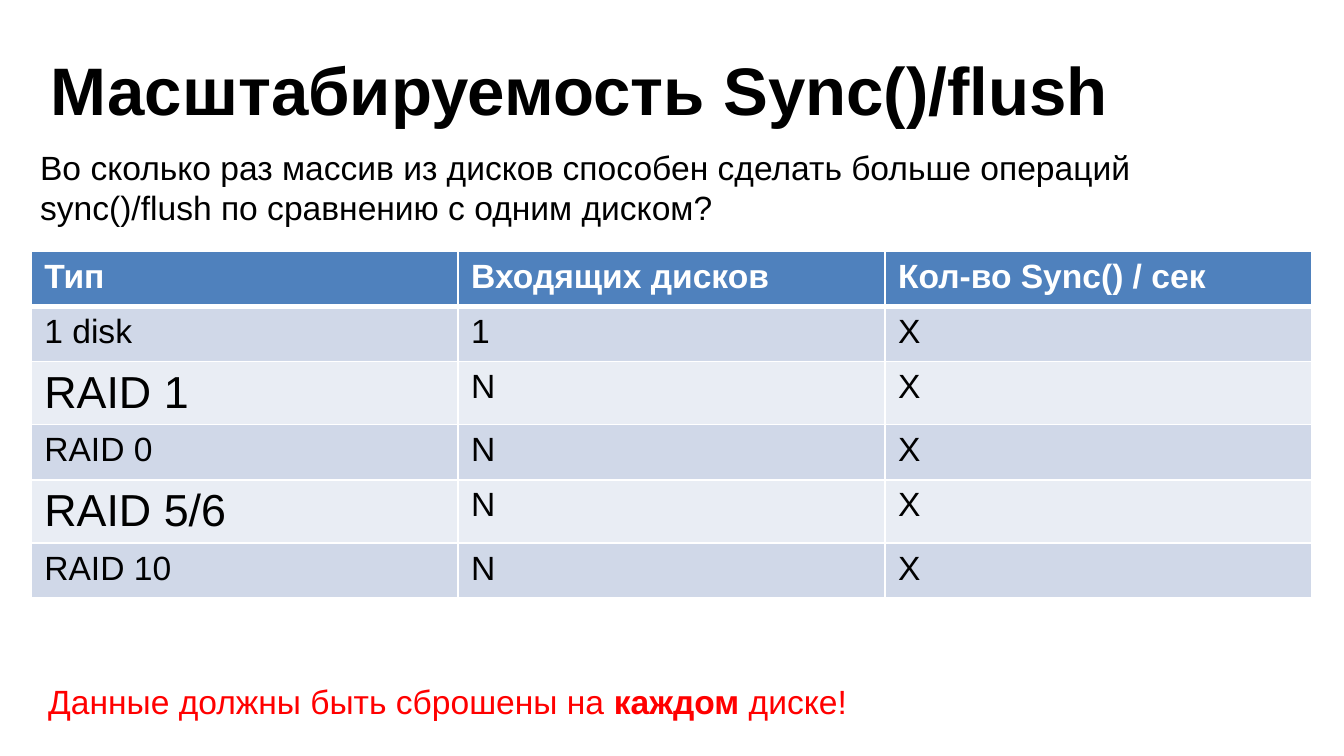
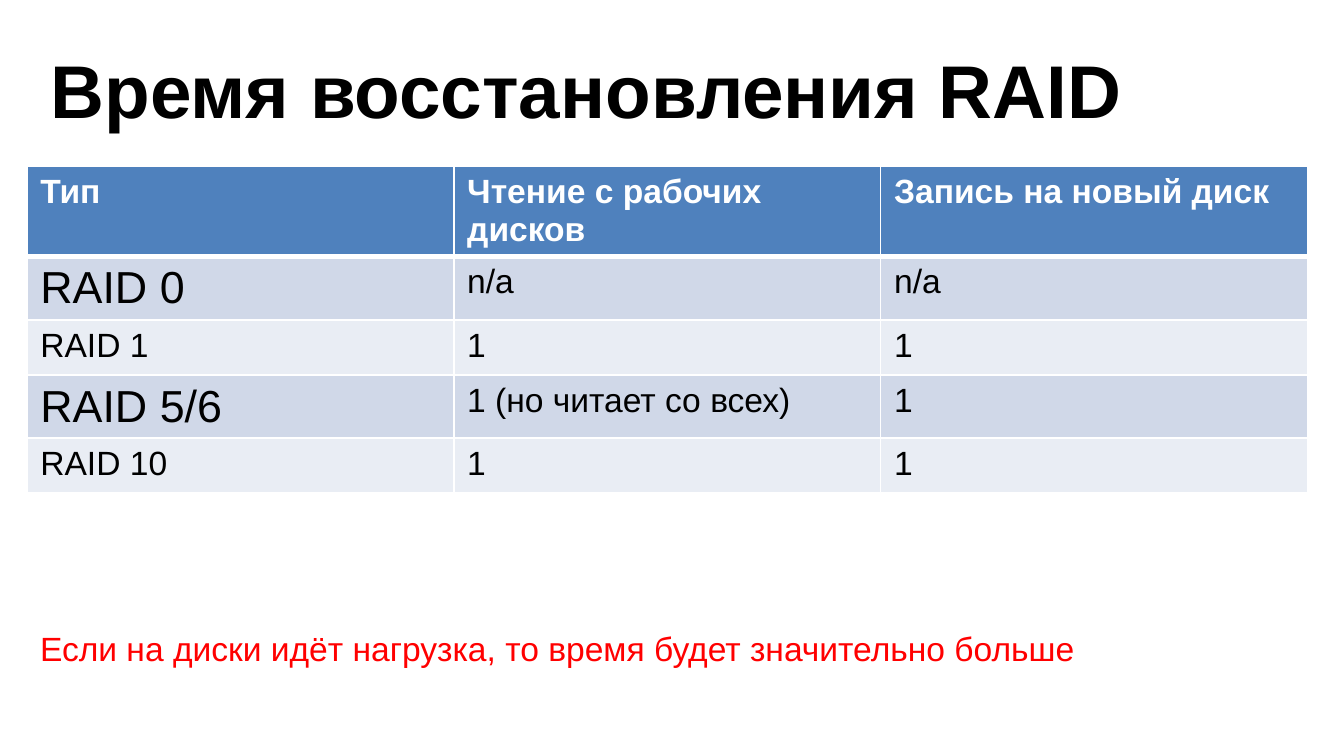
from lxml import etree
from pptx import Presentation
from pptx.dml.color import RGBColor
from pptx.enum.text import MSO_ANCHOR
from pptx.oxml.ns import qn
from pptx.util import Inches, Pt

FONT = "Arial"
BLACK, WHITE, RED = "000000", "FFFFFF", "FF0000"
HEADER_FILL = "4F81BD"
BAND_FILLS = ("D0D8E8", "E9EDF4")
TEXT_SIZE, LARGE_SIZE = 18, 24
TABLE_WIDTH, ROW_HEIGHT = 9.53, 0.41


def rgb(hex_color):
    return RGBColor.from_string(hex_color)


def add_border(cell, side, points):
    """Draw a white line on one side (L, R, T or B) of a cell."""
    properties = cell._tc.get_or_add_tcPr()
    line = etree.Element(qn(f"a:ln{side}"), w=str(Pt(points)))
    fill = etree.SubElement(line, qn("a:solidFill"))
    etree.SubElement(fill, qn("a:srgbClr"), val=WHITE)
    # Border lines must stand before the fill, in the order L, R, T, B.
    properties.insert("LRTB".index(side), line)


class Deck:
    def __init__(self):
        self.presentation = Presentation()
        self.presentation.slide_width = Inches(10)
        self.presentation.slide_height = Inches(10 * 9 / 16)
        self.slide = None

    def new_slide(self):
        self.slide = self.presentation.slides.add_slide(self.presentation.slide_layouts[6])

    def style(self, paragraph, size=TEXT_SIZE, color=BLACK, bold=None):
        font = paragraph.font
        font.name, font.size, font.bold = FONT, Pt(size), bold
        font.color.rgb = rgb(color)

    def text(self, runs, left, top, width, height, wrap=True, **style):
        """Add one paragraph of (wording, bold) runs and return its text frame."""
        box = self.slide.shapes.add_textbox(*map(Inches, (left, top, width, height)))
        frame = box.text_frame
        frame.word_wrap = wrap
        paragraph = frame.paragraphs[0]
        self.style(paragraph, **style)
        for wording, bold in runs:
            run = paragraph.add_run()
            run.text = wording
            run.font.bold = bold
        return frame

    def title(self, wording, size, width):
        frame = self.text([(wording, True)], 0.28, 0.28, width, 0.76, size=size)
        frame.vertical_anchor = MSO_ANCHOR.MIDDLE

    def question(self, wording):
        self.text([(wording, None)], 0.2, 1.04, 9.45, 0.71)

    def conclusion(self, runs, left, top, width, height, wrap=True):
        self.text(runs, left, top, width, height, wrap, color=RED)

    def table(self, left, top, rows, large_labels):
        """Add a banded table; the labels named are set in the large size."""
        table = self.slide.shapes.add_table(
            len(rows), len(rows[0]), Inches(left), Inches(top),
            Inches(TABLE_WIDTH), Inches(ROW_HEIGHT * len(rows))).table
        for row_number, row in enumerate(rows):
            for column_number, wording in enumerate(row):
                self.cell(table.cell(row_number, column_number), wording,
                          row_number, wording in large_labels)

    def cell(self, cell, wording, row_number, large):
        is_header = row_number == 0
        cell.text = wording
        cell.margin_bottom = Inches(0.02)
        self.style(cell.text_frame.paragraphs[0],
                   size=LARGE_SIZE if large else TEXT_SIZE,
                   color=WHITE if is_header else BLACK, bold=is_header)
        cell.fill.solid()
        cell.fill.fore_color.rgb = rgb(
            HEADER_FILL if is_header else BAND_FILLS[(row_number - 1) % 2])
        for side in "LRTB":
            below_header = (is_header and side == "B") or (row_number == 1 and side == "T")
            add_border(cell, side, 3 if below_header else 1)


def add_sync_slide(deck):
    deck.new_slide()
    deck.title("Масштабируемость Sync()/flush", 36, 9.61)
    arrays = ("RAID 1", "RAID 0", "RAID 5/6", "RAID 10")
    deck.table(0.23, 1.87, [
        ("Тип", "Входящих дисков", "Кол-во Sync() / сек"),
        ("1 disk", "1", "X"),
        *((array, "N", "X") for array in arrays),
    ], large_labels=("RAID 1", "RAID 5/6"))
    deck.question("Во сколько раз массив из дисков способен сделать больше операций "
                  "sync()/flush по сравнению с одним диском?")
    deck.conclusion([("Данные должны быть сброшены на ", None), ("каждом", True),
                     (" диске!", None)], 0.26, 5.02, 9.45, 0.71)


def add_recovery_slide(deck):
    deck.new_slide()
    deck.title("Время восстановления RAID", 40, 9)
    deck.table(0.2, 1.24, [
        ("Тип", "Чтение с рабочих дисков", "Запись на новый диск"),
        ("RAID 0", "n/a", "n/a"),
        ("RAID 1", "1", "1"),
        ("RAID 5/6", "1 (но читает со всех)", "1"),
        ("RAID 10", "1", "1"),
    ], large_labels=("RAID 0", "RAID 5/6"))
    deck.conclusion([("Если на диски идёт нагрузка, то время будет значительно больше", None)],
                    0.2, 4.62, 8.3, 0.4, wrap=False)


def main():
    deck = Deck()
    add_sync_slide(deck)
    add_recovery_slide(deck)
    deck.presentation.save("out.pptx")


if __name__ == "__main__":
    main()
